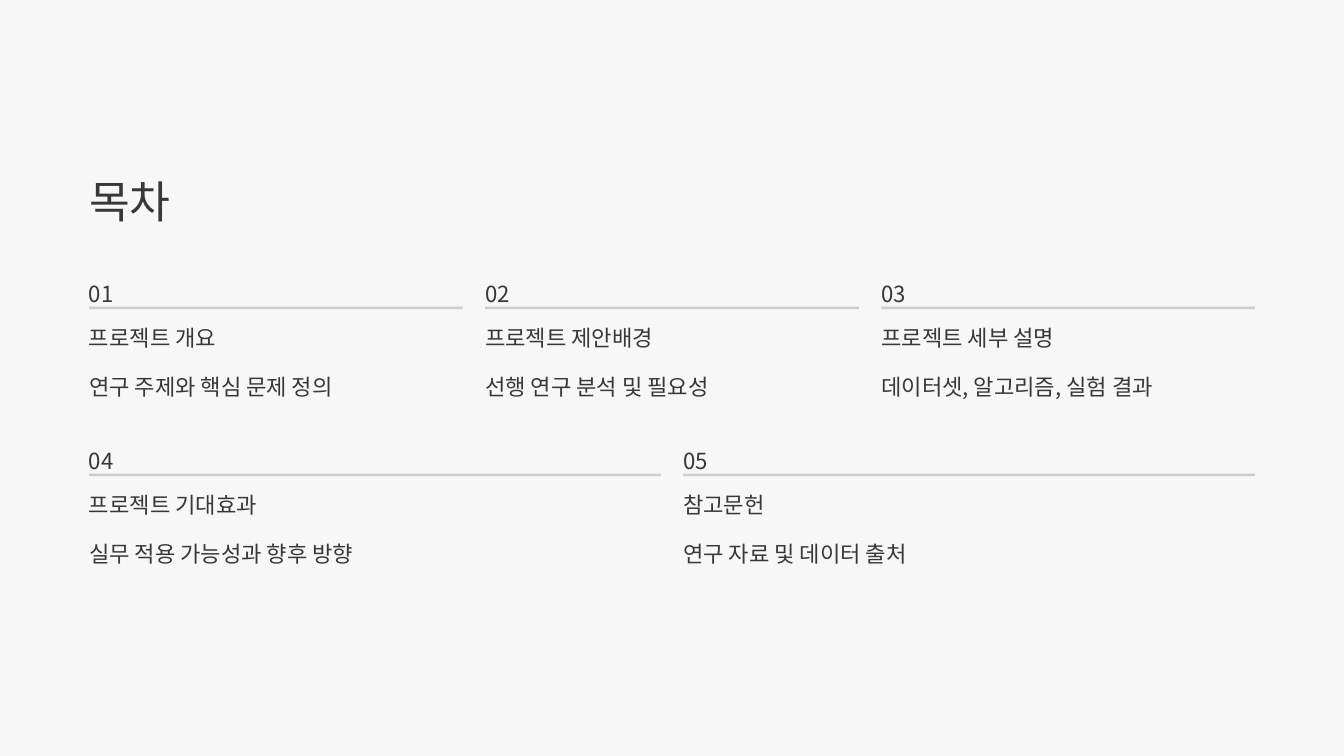
from dataclasses import dataclass

import pptx
import pptx.dml.color
import pptx.enum.shapes
import pptx.enum.text
import pptx.oxml.ns
import pptx.util
from lxml import etree

Inches = pptx.util.Inches
Pt = pptx.util.Pt


@dataclass(frozen=True)
class Theme:
    font: str = "Noto Sans CJK KR"
    background: str = "F7F7F7"
    ink: str = "383838"
    rule: str = "CCCCCC"
    title_size: float = 38
    body_size: float = 19
    title_leading: float = 47.5
    heading_leading: float = 23.5
    body_leading: float = 30


THEME = Theme()
SLIDE_WIDTH, SLIDE_HEIGHT = 16, 9
LEFT, CONTENT_WIDTH, GAP = 1.06, 13.88, 0.27
ROWS = [
    (3.24, [
        ("01", "프로젝트 개요", "연구 주제와 핵심 문제 정의"),
        ("02", "프로젝트 제안배경", "선행 연구 분석 및 필요성"),
        ("03", "프로젝트 세부 설명", "데이터셋, 알고리즘, 실험 결과"),
    ]),
    (5.23, [
        ("04", "프로젝트 기대효과", "실무 적용 가능성과 향후 방향"),
        ("05", "참고문헌", "연구 자료 및 데이터 출처"),
    ]),
]


def color(value):
    return pptx.dml.color.RGBColor.from_string(value)


def add_text(slide, text, left, top, width, height, size, leading):
    box = slide.shapes.add_textbox(
        Inches(left), Inches(top), Inches(width), Inches(height))
    frame = box.text_frame
    frame.word_wrap = False
    frame.vertical_anchor = pptx.enum.text.MSO_ANCHOR.TOP
    frame.margin_left = frame.margin_right = 0
    frame.margin_top = frame.margin_bottom = 0
    paragraph = frame.paragraphs[0]
    paragraph.alignment = pptx.enum.text.PP_ALIGN.LEFT
    paragraph.line_spacing = Pt(leading)
    run = paragraph.add_run()
    run.text = text
    run.font.size = Pt(size)
    run.font.color.rgb = color(THEME.ink)
    run.font.name = THEME.font
    east_asian = etree.SubElement(
        run._r.get_or_add_rPr(), pptx.oxml.ns.qn("a:ea"))
    east_asian.set("typeface", THEME.font)


def add_rectangle(slide, left, top, width, height, fill):
    rectangle = slide.shapes.add_shape(
        pptx.enum.shapes.MSO_SHAPE.RECTANGLE,
        Inches(left), Inches(top), Inches(width), Inches(height))
    rectangle.shadow.inherit = False
    rectangle.fill.solid()
    rectangle.fill.fore_color.rgb = color(fill)
    rectangle.line.fill.background()


def add_entry(slide, entry, left, top, width):
    """Place a number, its rule, a heading and a description."""
    number, heading, description = entry
    size = THEME.body_size
    add_text(slide, number, left, top, 0.34, 0.33, size, THEME.body_leading)
    add_rectangle(slide, left, top + 0.41, width, 0.03, THEME.rule)
    add_text(slide, heading, left, top + 0.61, 2.64, 0.33,
             size, THEME.heading_leading)
    add_text(slide, description, left, top + 1.1, width, 0.42,
             size, THEME.body_leading)


def add_entry_row(slide, entries, left, top, width):
    """Share the width equally between the entries."""
    column = (width - GAP * (len(entries) - 1)) / len(entries)
    for index, entry in enumerate(entries):
        add_entry(slide, entry, left + index * (column + GAP), top, column)


def add_contents_slide(presentation):
    slide = presentation.slides.add_slide(presentation.slide_layouts[6])
    add_rectangle(slide, 0, 0, SLIDE_WIDTH, SLIDE_HEIGHT, THEME.background)
    add_text(slide, "목차", LEFT, 2.05, 5.28, 0.66,
             THEME.title_size, THEME.title_leading)
    for top, entries in ROWS:
        add_entry_row(slide, entries, LEFT, top, CONTENT_WIDTH)


def main():
    presentation = pptx.Presentation()
    presentation.slide_width = Inches(SLIDE_WIDTH)
    presentation.slide_height = Inches(SLIDE_HEIGHT)
    add_contents_slide(presentation)
    presentation.save("out.pptx")


if __name__ == "__main__":
    main()
